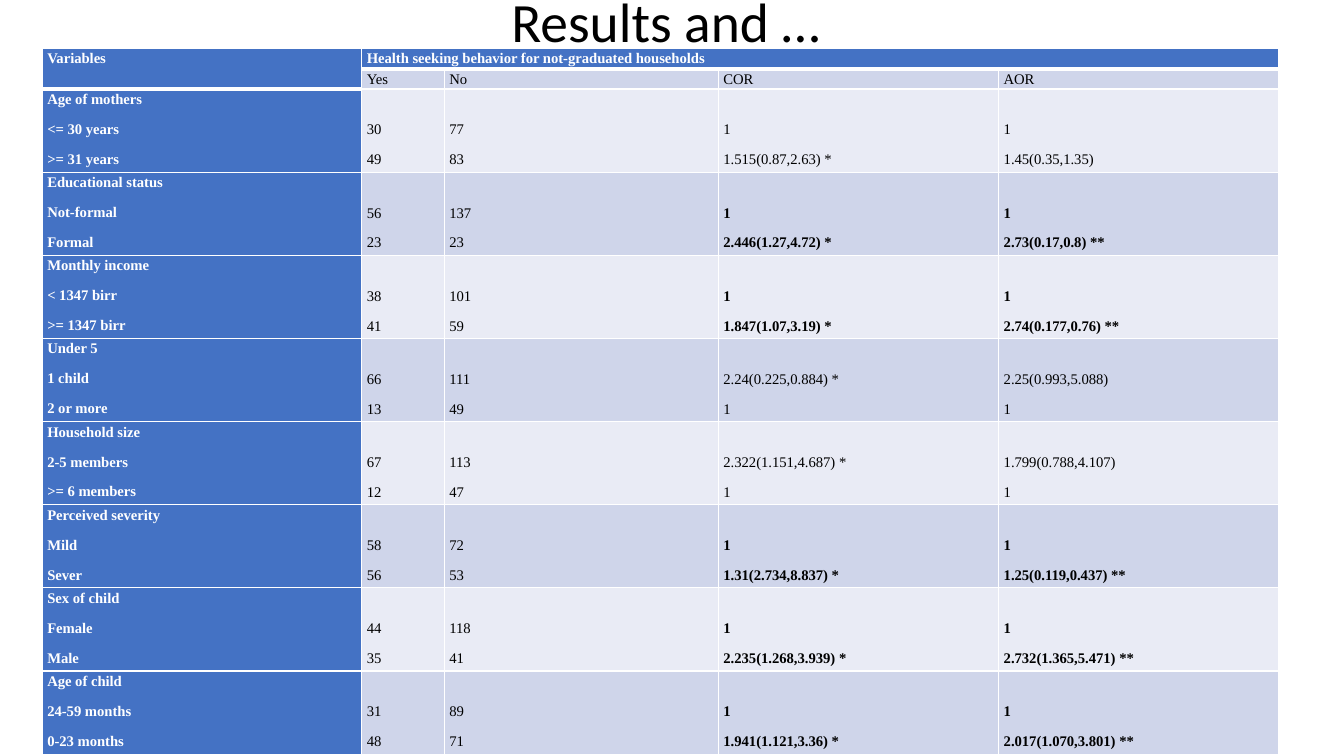
"""Build the slide of health seeking behavior results for not-graduated households."""
from lxml.etree import SubElement
from pptx import Presentation
from pptx.dml.color import RGBColor
from pptx.enum.text import MSO_ANCHOR, PP_ALIGN
from pptx.oxml.ns import qn
from pptx.util import Pt

WHITE = RGBColor(0xFF, 0xFF, 0xFF)
BLACK = RGBColor(0x00, 0x00, 0x00)
BLUE = RGBColor(0x44, 0x72, 0xC4)
BANDS = [RGBColor(0xE9, 0xEB, 0xF5), RGBColor(0xCF, 0xD5, 0xEA)]

COLUMN_WIDTHS = [228.2, 59, 195.8, 200.2, 200.2]
ROW_HEIGHTS = [11.5] * 2 + [51.1] * 2 + [58.3] * 6
LABEL_DROP = 21.7

HEADERS = [
    ["Variables", "Health seeking behavior for not-graduated households", "", "", ""],
    ["", "Yes", "No", "COR", "AOR"],
]
GROUPS = [
    ["Age of mothers\n<= 30 years\n>= 31 years", "30\n49", "77\n83",
     "1\n1.515(0.87,2.63) *", "1\n1.45(0.35,1.35)"],
    ["Educational status\nNot-formal\nFormal", "56\n23", "137\n23",
     "1\n2.446(1.27,4.72) *", "1\n2.73(0.17,0.8) **"],
    ["Monthly income\n< 1347 birr\n>= 1347 birr", "38\n41", "101\n59",
     "1\n1.847(1.07,3.19) *", "1\n2.74(0.177,0.76) **"],
    ["Under 5\n1 child\n2 or more", "66\n13", "111\n49",
     "2.24(0.225,0.884) *\n1", "2.25(0.993,5.088)\n1"],
    ["Household size\n2-5 members\n>= 6 members", "67\n12", "113\n47",
     "2.322(1.151,4.687) *\n1", "1.799(0.788,4.107)\n1"],
    ["Perceived severity\nMild\nSever", "58\n56", "72\n53",
     "1\n1.31(2.734,8.837) *", "1\n1.25(0.119,0.437) **"],
    ["Sex of child\nFemale\nMale", "44\n35", "118\n41",
     "1\n2.235(1.268,3.939) *", "1\n2.732(1.365,5.471) **"],
    ["Age of child\n24-59 months\n0-23 months", "31\n48", "89\n71",
     "1\n1.941(1.121,3.36) *", "1\n2.017(1.070,3.801) **"],
]


def add_border(cell, side, width):
    ln = SubElement(cell._tc.get_or_add_tcPr(), qn(f"a:ln{side}"), w=str(Pt(width)))
    fill = SubElement(ln, qn("a:solidFill"))
    SubElement(fill, qn("a:srgbClr"), val=str(WHITE))


prs = Presentation()
prs.slide_width, prs.slide_height = Pt(960), Pt(540)
s = prs.slides.add_slide(prs.slide_layouts[6])

title = s.shapes.add_textbox(Pt(66), Pt(0), Pt(828), Pt(34.6))
tf = title.text_frame
tf.word_wrap = True
tf.vertical_anchor = MSO_ANCHOR.MIDDLE
p = tf.paragraphs[0]
p.text = "Results and … "
p.alignment = PP_ALIGN.CENTER
p.line_spacing = 0.9
p.font.name, p.font.size = "Calibri", Pt(39.6)
p.font.color.rgb = BLACK

rows = HEADERS + GROUPS
table = s.shapes.add_table(len(rows), len(COLUMN_WIDTHS), Pt(30.2), Pt(34.6),
                           Pt(sum(COLUMN_WIDTHS)), Pt(sum(ROW_HEIGHTS))).table
for column, width in zip(table.columns, COLUMN_WIDTHS):
    column.width = Pt(width)
for row, height in zip(table.rows, ROW_HEIGHTS):
    row.height = Pt(height)

for i, texts in enumerate(rows):
    significant = "**" in texts[-1]
    for j, text in enumerate(texts):
        cell = table.cell(i, j)
        heading = i == 0 or j == 0
        last_heading_row = 1 if j == 0 else 0
        cell.margin_left = cell.margin_right = Pt(3.6)
        cell.margin_top = Pt(LABEL_DROP if i > 1 and j > 0 else 0)
        cell.margin_bottom = Pt(0)

        add_border(cell, "L", 1)
        add_border(cell, "R", 1)
        add_border(cell, "T", 3 if i == last_heading_row + 1 else 1)
        add_border(cell, "B", 3 if i == last_heading_row else 1)
        cell.fill.solid()
        cell.fill.fore_color.rgb = BLUE if heading else BANDS[i % 2]

        cell.text = text
        for p in cell.text_frame.paragraphs:
            p.alignment = PP_ALIGN.JUSTIFY
            p.line_spacing = 1.15
            p.space_after = Pt(8)
            p.font.name, p.font.size = "Times New Roman", Pt(10.5)
            p.font.bold = heading or (significant and j > 2)
            p.font.color.rgb = WHITE if heading else BLACK

table.cell(0, 0).merge(table.cell(1, 0))
table.cell(0, 1).merge(table.cell(0, 4))

prs.save("out.pptx")
